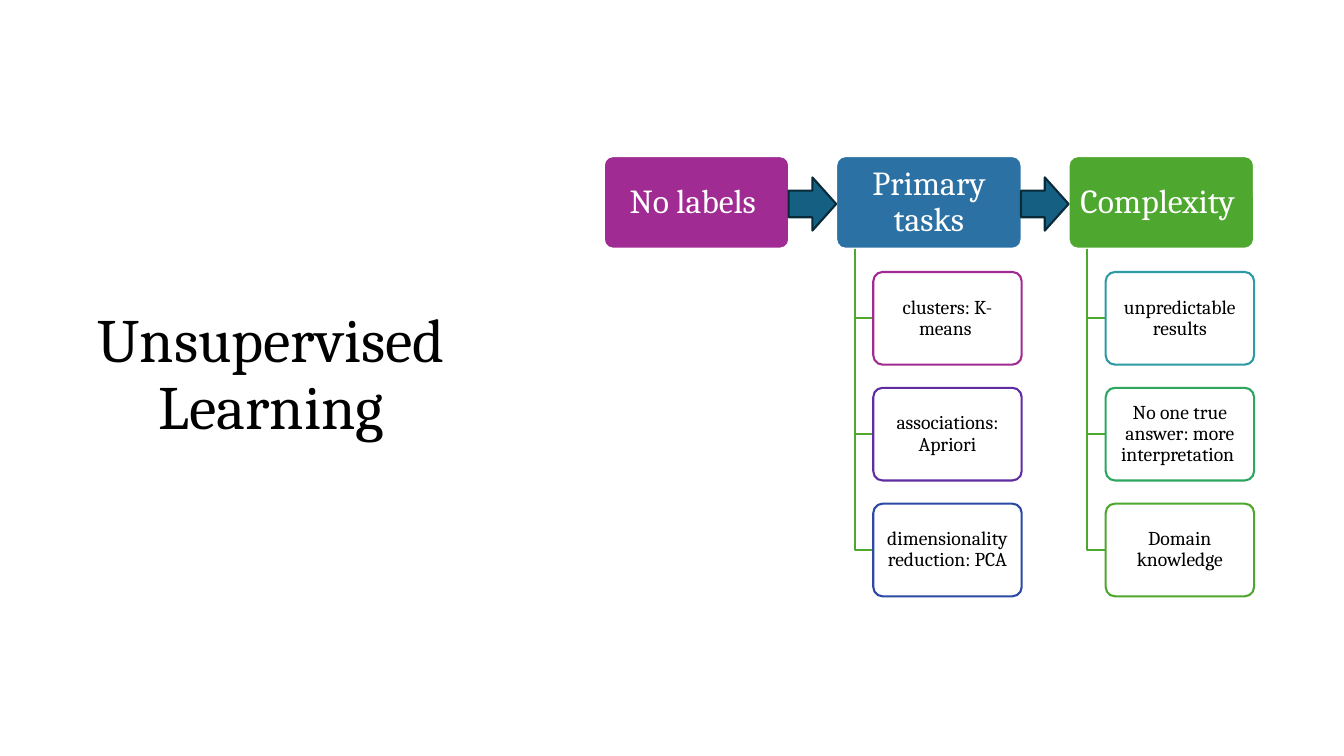
import dataclasses

import pptx
import pptx.dml.color
import pptx.enum.shapes
import pptx.enum.text
import pptx.util
from lxml import etree
from pptx.oxml.ns import qn

Pt = pptx.util.Pt
MSO_SHAPE = pptx.enum.shapes.MSO_SHAPE


@dataclasses.dataclass(frozen=True)
class Theme:
    font: str = "Cambria"
    title_size: float = 44
    stage_size: float = 24
    detail_size: float = 14
    line_width: float = 1.5
    black: str = "000000"
    white: str = "FFFFFF"
    purple: str = "A02B93"
    violet: str = "5F2CA1"
    indigo: str = "2C49A3"
    blue: str = "2C71A4"
    teal: str = "2D9AA4"
    emerald: str = "2DA65F"
    green: str = "4EA72E"
    arrow: str = "156082"
    arrow_edge: str = "092A39"


THEME = Theme()

STAGE_LEFT, STAGE_TOP = 431.3, 111.5
STAGE_WIDTH, STAGE_HEIGHT = 132.5, 66.2
STAGE_PITCH = 166
DETAIL_PITCH = STAGE_HEIGHT * 1.25
DETAIL_INDENT = STAGE_WIDTH * 0.2
DETAIL_WIDTH = STAGE_WIDTH * 0.8
RAIL_INDENT = STAGE_WIDTH * 0.1
ARROW_HEIGHT = 38

STAGES = [
    ("No labels ", THEME.purple, []),
    ("Primary tasks", THEME.blue, [
        ("clusters: K-means ", THEME.purple),
        ("associations: Apriori", THEME.violet),
        ("dimensionality reduction: PCA", THEME.indigo),
    ]),
    ("Complexity ", THEME.green, [
        ("unpredictable results", THEME.teal),
        ("No one true answer: more interpretation ", THEME.emerald),
        ("Domain knowledge", THEME.green),
    ]),
]


def rgb(color):
    return pptx.dml.color.RGBColor.from_string(color)


def write_text(shape, text, *, size, color, inset=(7.2, 3.6)):
    """Put centred text in a shape; inset is (horizontal, vertical)."""
    frame = shape.text_frame
    frame.word_wrap = True
    frame.vertical_anchor = pptx.enum.text.MSO_ANCHOR.MIDDLE
    frame.margin_left = frame.margin_right = Pt(inset[0])
    frame.margin_top = frame.margin_bottom = Pt(inset[1])
    paragraph = frame.paragraphs[0]
    paragraph.text = text
    paragraph.alignment = pptx.enum.text.PP_ALIGN.CENTER
    paragraph.line_spacing = 0.9
    paragraph.font.name = THEME.font
    paragraph.font.size = Pt(size)
    paragraph.font.color.rgb = rgb(color)


def set_outline(shape, color):
    shape.shadow.inherit = False
    shape.line.color.rgb = rgb(color)
    shape.line.width = Pt(THEME.line_width)


def add_block(slide, kind, left, top, width, height, *, fill, edge):
    block = slide.shapes.add_shape(kind, Pt(left), Pt(top), Pt(width), Pt(height))
    block.fill.solid()
    block.fill.fore_color.rgb = rgb(fill)
    set_outline(block, edge)
    return block


def add_card(slide, left, top, width, *, fill, edge):
    card = add_block(slide, MSO_SHAPE.ROUNDED_RECTANGLE, left, top, width,
                     STAGE_HEIGHT, fill=fill, edge=edge)
    card.adjustments[0] = 0.1
    return card


def set_opacity(shape, percent):
    color = shape.fill._xPr.find(qn("a:solidFill"))[0]
    etree.SubElement(color, qn("a:alpha")).set("val", str(percent * 1000))


def add_branch(slide, left, top, right, bottom):
    """Draw an elbow going down from a stage and right to a detail."""
    builder = slide.shapes.build_freeform(Pt(left), Pt(top))
    builder.add_line_segments(
        [(Pt(left), Pt(bottom)), (Pt(right), Pt(bottom))], close=False)
    branch = builder.convert_to_shape()
    branch.fill.background()
    set_outline(branch, THEME.green)


def add_detail(slide, stage_left, row, text, edge):
    left = stage_left + DETAIL_INDENT
    top = STAGE_TOP + row * DETAIL_PITCH
    add_branch(slide, stage_left + RAIL_INDENT, STAGE_TOP + STAGE_HEIGHT,
               left, top + STAGE_HEIGHT / 2)
    card = add_card(slide, left, top, DETAIL_WIDTH, fill=THEME.white, edge=edge)
    set_opacity(card, 90)
    write_text(card, text, size=THEME.detail_size, color=THEME.black,
               inset=(2.1, 1.4))


def add_stage(slide, left, text, fill, details):
    card = add_card(slide, left, STAGE_TOP, STAGE_WIDTH, fill=fill, edge=THEME.white)
    write_text(card, text, size=THEME.stage_size, color=THEME.white,
               inset=(3.6, 2.4))
    for row, (detail, edge) in enumerate(details, start=1):
        add_detail(slide, left, row, detail, edge)


def add_stage_arrow(slide, stage_left):
    """Fill the gap after a stage with an arrow to the next one."""
    add_block(slide, MSO_SHAPE.RIGHT_ARROW, stage_left + STAGE_WIDTH - 0.5, 126.7,
              STAGE_PITCH - STAGE_WIDTH + 0.5, ARROW_HEIGHT,
              fill=THEME.arrow, edge=THEME.arrow_edge)


def main():
    deck = pptx.Presentation()
    deck.slide_width, deck.slide_height = Pt(960), Pt(540)
    slide = deck.slides.add_slide(deck.slide_layouts[6])

    title = slide.shapes.add_textbox(Pt(45.4), Pt(44), Pt(296.6), Pt(449.3))
    write_text(title, "Unsupervised Learning", size=THEME.title_size,
               color=THEME.black)

    lefts = [STAGE_LEFT + index * STAGE_PITCH for index in range(len(STAGES))]
    for left, stage in zip(lefts, STAGES):
        add_stage(slide, left, *stage)
    for left in lefts[:-1]:
        add_stage_arrow(slide, left)

    deck.save("out.pptx")


if __name__ == "__main__":
    main()
